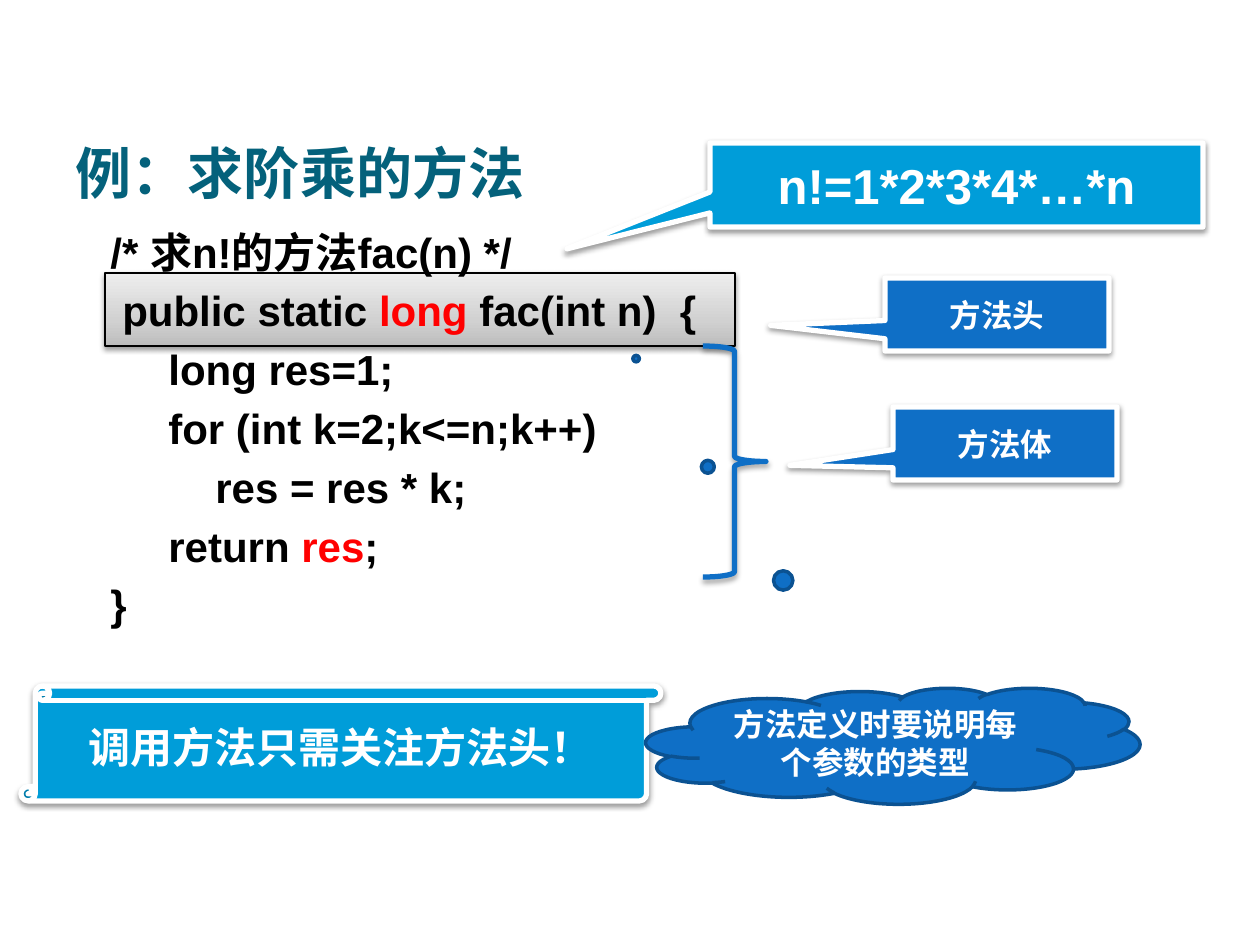
from dataclasses import dataclass
from lxml.etree import SubElement
from pptx import Presentation
from pptx.dml.color import RGBColor as RGB
from pptx.enum.shapes import MSO_SHAPE as Kind
from pptx.enum.text import MSO_ANCHOR as Anchor, PP_ALIGN as Align
from pptx.oxml.ns import qn
from pptx.util import Emu, Pt


@dataclass(frozen=True)
class Theme:
    black: str = "000000"
    white: str = "FFFFFF"
    red: str = "FF0000"
    teal: str = "04617B"
    sky: str = "009DD9"
    blue: str = "0F6FC6"
    navy: str = "0B5292"
    grays: tuple = ((0, "BDBDBD"), (35, "D1D1D1"), (100, "EEEEEE"))
    body: str = "Arial"
    head: str = "Montserrat"
    small: int = 18
    code: int = 24
    large: int = 28
    title: int = 32


def px(num):
    return Emu(round(num * 914400 / 126))


class Deck:
    """Draws styled elements on the current slide."""

    def __init__(self, theme):
        self.theme = theme
        self.prs = Presentation()
        self.prs.slide_width, self.prs.slide_height = px(1260), px(945)
        self.slide = self.prs.slides.add_slide(self.prs.slide_layouts[6])

    def style(self, run, size, color, face=None):
        font = run.font
        font.name, font.size, font.bold = face or self.theme.body, Pt(size), True
        font.color.rgb = RGB.from_string(color)

    def frame(self, area):
        frame = self.slide.shapes.add_textbox(*map(px, area)).text_frame
        frame.word_wrap = True
        return frame

    def title(self, area, text):
        frame = self.frame(area)
        frame.vertical_anchor = Anchor.BOTTOM
        frame.margin_left, frame.margin_right, frame.margin_bottom = px(13), 0, 0
        frame.text = text
        run = frame.paragraphs[0].runs[0]
        self.style(run, self.theme.title, self.theme.teal, self.theme.head)

    def code(self, area, lines):
        frame = self.frame(area)
        for row, (left, parts) in enumerate(lines):
            para = frame.add_paragraph() if row else frame.paragraphs[0]
            para.space_before = Pt(4.8)
            para._p.get_or_add_pPr().set("marL", str(px(left)))
            for spot, part in enumerate(parts):
                run = para.add_run()
                run.text = part
                color = self.theme.red if spot % 2 else self.theme.black
                self.style(run, self.theme.code, color)

    def shape(self, kind, area, fill, line, width, tweak=()):
        shape = self.slide.shapes.add_shape(kind, *map(px, area))
        shape.shadow.inherit = False
        for spot, value in enumerate(tweak):
            shape.adjustments[spot] = value
        if fill:
            shape.fill.solid()
            shape.fill.fore_color.rgb = RGB.from_string(fill)
        else:
            shape.fill.background()
        shape.line.color.rgb = RGB.from_string(line)
        shape.line.width = Pt(width)
        return shape

    def label(self, shape, text, size):
        frame = shape.text_frame
        frame.text = text
        frame.word_wrap = True
        frame.vertical_anchor = Anchor.MIDDLE
        para = frame.paragraphs[0]
        para.alignment = Align.CENTER
        self.style(para.runs[0], size, self.theme.white)

    def shade(self, shape, alpha=38, dist=1.6):
        effects = shape._element.spPr.find(qn("a:effectLst"))
        outer = SubElement(effects, qn("a:outerShdw"), blurRad=str(Pt(3.1)),
                           dist=str(Pt(dist)), dir="5400000", rotWithShape="0")
        color = SubElement(outer, qn("a:srgbClr"), val=self.theme.black)
        SubElement(color, qn("a:alpha"), val=str(alpha * 1000))

    def blend(self, shape, stops):
        shape.fill.gradient()
        shape.fill.gradient_angle = 90
        group = shape._element.spPr.find(".//" + qn("a:gsLst"))
        group.clear()
        for place, color in stops:
            stop = SubElement(group, qn("a:gs"), pos=str(place * 1000))
            SubElement(stop, qn("a:srgbClr"), val=color)

    def card(self, kind, area, fill, text, size, tweak=()):
        shape = self.shape(kind, area, fill, self.theme.white, 3, tweak)
        self.shade(shape)
        self.label(shape, text, size)


def main():
    theme = Theme()
    deck = Deck(theme)

    band = deck.shape(Kind.RECTANGLE, (105, 273, 630, 73), None, theme.black, 0.75)
    deck.blend(band, theme.grays)
    deck.shade(band)

    deck.title((63, 84, 1134, 122), "例：求阶乘的方法")
    deck.code((63, 220, 1061, 514), [
        (35, ["/* 求n!的方法fac(n) */"]),
        (47, ["public static ", "long ", "fac(int n)  {"]),
        (93, ["long res=1;"]),
        (93, ["for (int k=2;k<=n;k++)"]),
        (140, ["res = res * k;"]),
        (93, ["return ", "res", ";"]),
        (35, ["}"]),
    ])

    call = Kind.RECTANGULAR_CALLOUT
    for area, fill, text, size, tweak in [
        ((710, 143, 493, 84), theme.sky, "n!=1*2*3*4*…*n", theme.large, (-0.79, 0.76)),
        ((885, 278, 224, 73), theme.blue, "方法头", theme.small, (-1.01, 0.15)),
        ((893, 407, 224, 73), theme.blue, "方法体", theme.small, (-0.96, 0.3)),
    ]:
        deck.card(call, area, fill, text, size, tweak)

    brace = deck.shape(Kind.RIGHT_BRACE, (703, 346, 63, 231), None, theme.blue, 3)
    deck.shade(brace, 35, 1.8)

    deck.card(Kind.VERTICAL_SCROLL, (21, 686, 640, 115), theme.sky,
              "调用方法只需关注方法头！", theme.code)
    cloud = deck.shape(Kind.CLOUD_CALLOUT, (646, 688, 494, 116), theme.blue,
                       theme.navy, 2, (-0.52, -3.34))
    deck.label(cloud, "方法定义时要说明每个参数的类型", theme.small)

    deck.prs.save("out.pptx")


if __name__ == "__main__":
    main()
